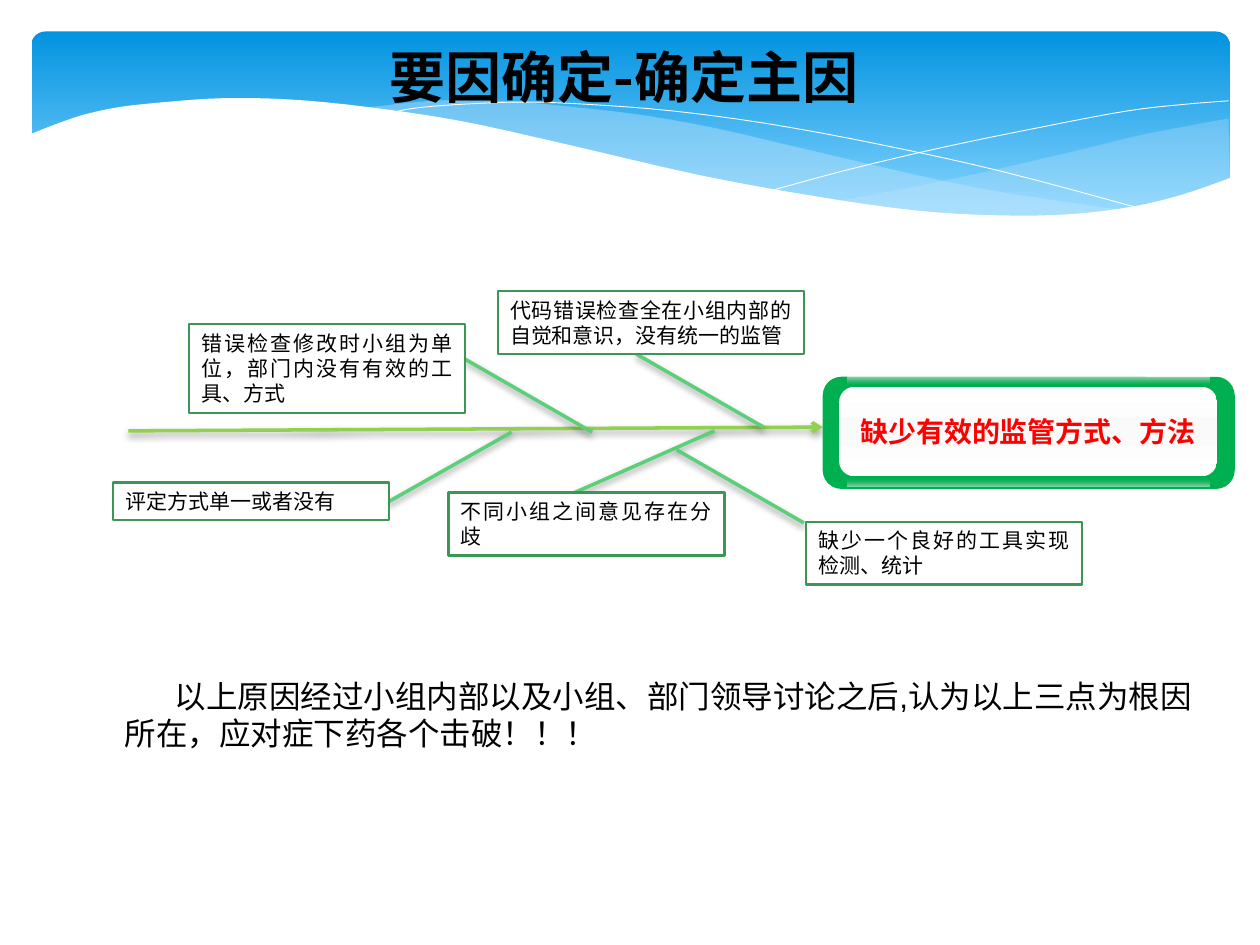
from lxml.etree import SubElement
from pptx import Presentation
from pptx.dml.color import RGBColor
from pptx.enum.shapes import MSO_CONNECTOR, MSO_SHAPE
from pptx.enum.text import MSO_ANCHOR, PP_ALIGN
from pptx.oxml.ns import qn
from pptx.util import Pt

PX = 9144  # 100 px to the inch
CJK = "Noto Sans CJK SC"
rgb = RGBColor.from_string


def write(shape, text, size, color="000000", font=CJK, bold=False,
          align=PP_ALIGN.LEFT, anchor=MSO_ANCHOR.TOP):
    frame = shape.text_frame
    frame.word_wrap = True
    frame.vertical_anchor = anchor
    paragraph = frame.paragraphs[0]
    paragraph.text = text
    paragraph.alignment = align
    face = paragraph.font
    face.size, face.bold, face.name = Pt(size), bold, font
    face.color.rgb = rgb(color)
    SubElement(face._element, qn("a:ea"), typeface=CJK)
    return paragraph


def add_gradient_bar(box, adjust, stops):
    """Rounded bar, shaded from top to bottom by (position, colour, opacity)."""
    bar = shapes.add_shape(MSO_SHAPE.ROUNDED_RECTANGLE, *[v * PX for v in box])
    bar.adjustments[0] = adjust
    bar.shadow.inherit = False
    bar.line.fill.background()
    bar.fill.gradient()
    bar.fill.gradient_angle = 270
    stop_list = bar.element.spPr.find(qn("a:gradFill")).find(qn("a:gsLst"))
    for old_stop in list(stop_list):
        stop_list.remove(old_stop)
    for position, color, opacity in stops:
        stop = SubElement(stop_list, qn("a:gs"), pos=str(position * 1000))
        tint = SubElement(stop, qn("a:srgbClr"), val=color)
        SubElement(tint, qn("a:alpha"), val=str(opacity * 1000))
    return bar


prs = Presentation()
prs.slide_width, prs.slide_height = 1000 * PX, 750 * PX
slide = prs.slides.add_slide(prs.slide_layouts[5])
shapes = slide.shapes

# Header band
add_gradient_bar((25, 25, 951, 156), 0.07,
                 [(0, "0293E0", 100), (90, "83D3FE", 100)])

# Waves over the band: fill, opacity, and smooth edges joined end to end
waves = [
    ("C6E7FC", 29, [
        [(975, 94), (948, 99), (906, 107), (861, 118), (779, 137), (706, 152),
         (661, 160)],
        [(661, 160), (719, 167), (781, 172), (835, 172), (881, 167), (921, 160),
         (949, 152), (976, 141)]]),
    ("C6E7FC", 40, [
        [(893, 167), (837, 159), (775, 149), (706, 134), (629, 116), (569, 102),
         (514, 92), (465, 86), (399, 80), (344, 80), (286, 86)],
        [(286, 86), (342, 94), (404, 106), (449, 116), (530, 135), (601, 150),
         (665, 161), (722, 168), (773, 172), (818, 173), (857, 171), (893, 167)]]),
    (None, 100, [
        [(309, 90), (328, 86), (363, 83), (416, 81), (469, 83), (533, 88),
         (608, 98), (695, 114), (795, 136), (907, 166)]]),
    (None, 100, [
        [(613, 151), (672, 135), (748, 117), (836, 99), (895, 88), (938, 83),
         (975, 80)]]),
    ("FFFFFF", 100, [
        [(977, 141), (940, 154), (899, 164), (850, 170), (793, 171), (726, 167),
         (648, 156), (555, 139), (447, 114), (365, 96), (292, 85), (230, 79),
         (177, 78), (132, 81), (95, 85), (67, 91), (46, 98), (23, 107)],
        [(23, 224), (977, 224)]]),
]
STEPS = 4
for color, opacity, edges in waves:
    outline = []
    for edge in edges:
        # Catmull-Rom curve through the points of the edge
        knots = [edge[0], *edge, edge[-1]]
        for a, b, c, d in zip(knots, knots[1:], knots[2:], knots[3:]):
            for t in [step / STEPS for step in range(STEPS)]:
                outline.append([
                    PX * (2 * q + (r - p) * t + (2 * p - 5 * q + 4 * r - s) * t**2
                          + (3 * q - p - 3 * r + s) * t**3) / 2
                    for p, q, r, s in zip(a, b, c, d)])
        outline.append([v * PX for v in edge[-1]])
    builder = shapes.build_freeform(*outline[0], scale=1.0)
    builder.add_line_segments(outline[1:], close=color is not None)
    wave = builder.convert_to_shape()
    wave.shadow.inherit = False
    if color:
        wave.fill.solid()
        wave.fill.fore_color.rgb = rgb(color)
        tint = wave.element.spPr.find(qn("a:solidFill"))[0]
        SubElement(tint, qn("a:alpha"), val=str(opacity * 1000))
        wave.line.fill.background()
    else:
        wave.fill.background()
        wave.line.color.rgb = rgb("FFFFFF")
        wave.line.width = Pt(0.5)

# Title, brought in front of the waves
title = shapes.title
title.left, title.top, title.width, title.height = [
    v * PX for v in (133, 29, 724, 63)]
write(title, "要因确定-确定主因", 32, bold=True, align=PP_ALIGN.CENTER,
      anchor=MSO_ANCHOR.MIDDLE)
wave.element.addnext(title.element)

# Fishbone: the spine first, then the ribs
bones = [
    (102, 342, 653, 339),
    (505, 281, 606, 339),
    (456, 391, 567, 342),
    (369, 285, 470, 343),
    (406, 343, 307, 399),
    (537, 357, 638, 415),
]
for number, ends in enumerate(bones):
    bone = shapes.add_connector(MSO_CONNECTOR.STRAIGHT, *[v * PX for v in ends])
    bone.line.width = Pt(2)
    bone.line.color.rgb = rgb("5BD078" if number else "92D050")
    if number == 0:
        SubElement(bone.line._get_or_add_ln(), qn("a:tailEnd"), type="arrow")
    effects = SubElement(bone.element.spPr, qn("a:effectLst"))
    shadow = SubElement(effects, qn("a:outerShdw"), blurRad=str(Pt(4)),
                        dist=str(Pt(2)), dir="5400000", rotWithShape="0")
    tint = SubElement(shadow, qn("a:srgbClr"), val="000000")
    SubElement(tint, qn("a:alpha"), val="38000")

# Causes
causes = [
    (150, 257, 219, 71, "错误检查修改时小组为单位，部门内没有有效的工具、方式"),
    (90, 383, 219, 30, "评定方式单一或者没有"),
    (356, 391, 219, 50, "不同小组之间意见存在分歧"),
    (395, 231, 243, 50, "代码错误检查全在小组内部的自觉和意识，没有统一的监管"),
    (640, 414, 219, 50, "缺少一个良好的工具实现检测、统计"),
]
for *box, text in causes:
    cause = shapes.add_shape(MSO_SHAPE.RECTANGLE, *[v * PX for v in box])
    cause.shadow.inherit = False
    cause.fill.solid()
    cause.fill.fore_color.rgb = rgb("FFFFFF")
    cause.line.color.rgb = rgb("3D9653")
    cause.line.width = Pt(1.25)
    write(cause, text, 12, align=PP_ALIGN.JUSTIFY)

# Effect: green frame, white panel, glossy edges
frame = shapes.add_shape(MSO_SHAPE.ROUNDED_RECTANGLE,
                         *[v * PX for v in (653, 299, 327, 89)])
frame.shadow.inherit = False
frame.fill.solid()
frame.fill.fore_color.rgb = rgb("00B050")
frame.line.fill.background()
panel = add_gradient_bar(
    (666, 307, 300, 71), 0.17,
    [(0, "FFFFFF", 100), (50, "FAFAFA", 100), (100, "FFFFFF", 100)])
write(panel, "缺少有效的监管方式、方法", 16, "FF0000", bold=True,
      align=PP_ALIGN.CENTER, anchor=MSO_ANCHOR.MIDDLE)
add_gradient_bar((673, 299, 287, 5), 0.17, [(0, "FFFFFF", 60), (100, "B6B6B6", 0)])
add_gradient_bar((673, 381, 287, 5), 0.17, [(0, "B6B6B6", 0), (100, "FFFFFF", 60)])

# Conclusion
conclusion = shapes.add_textbox(*[v * PX for v in (89, 532, 876, 71)])
paragraph = write(
    conclusion,
    "以上原因经过小组内部以及小组、部门领导讨论之后,认为以上三点为根因所在，应对症下药各个击破！！！",
    18, font="Arial")
paragraph._p.get_or_add_pPr().set("indent", str(40 * PX))

prs.save("out.pptx")
